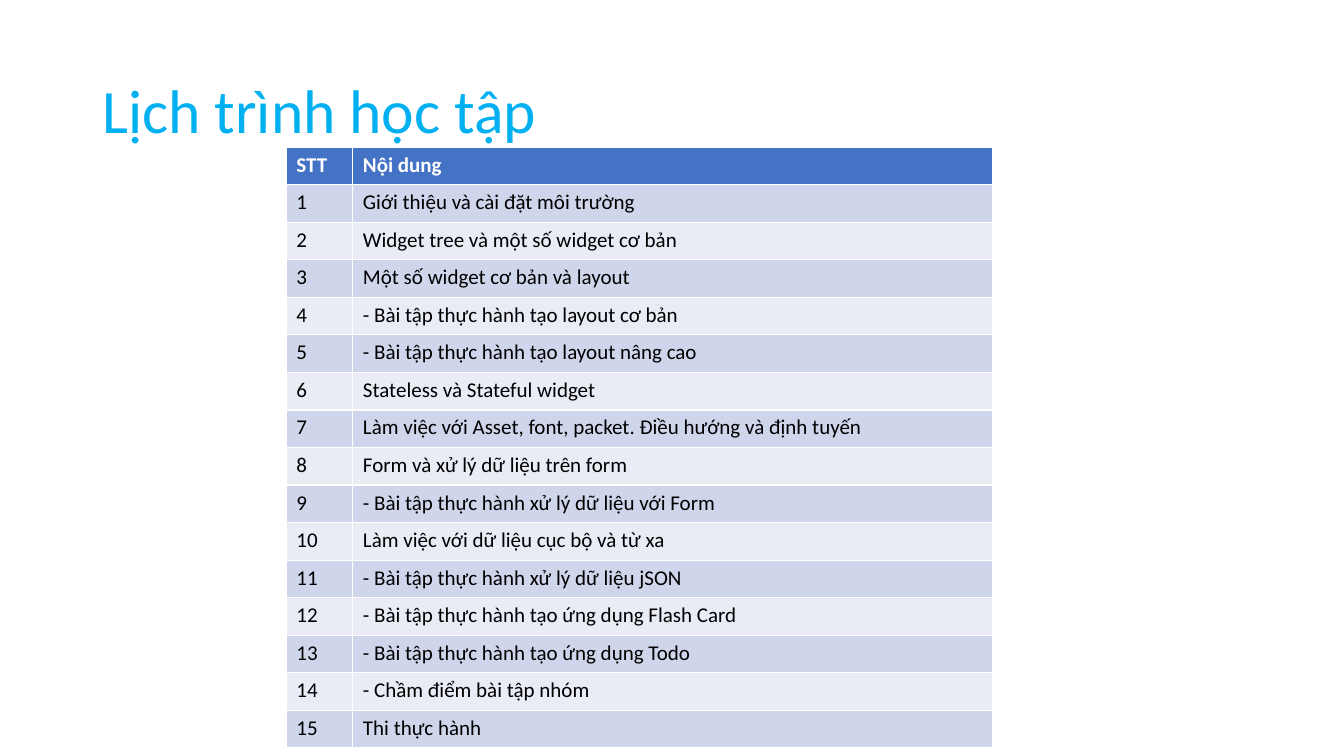
from pptx import Presentation
from pptx.dml.color import RGBColor
from pptx.enum.text import MSO_ANCHOR
from pptx.util import Inches, Pt

FONT = "Calibri"
TITLE_BLUE = RGBColor(0x00, 0xB0, 0xF0)
HEADER_BLUE = RGBColor(0x44, 0x72, 0xC4)
BAND_DARK = RGBColor(0xCF, 0xD5, 0xEA)
BAND_LIGHT = RGBColor(0xE9, 0xEB, 0xF5)
WHITE = RGBColor(0xFF, 0xFF, 0xFF)
BLACK = RGBColor(0x00, 0x00, 0x00)

LESSONS = [
    "Giới thiệu và cài đặt môi trường",
    "Widget tree và một số widget cơ bản",
    "Một số widget cơ bản và layout",
    "- Bài tập thực hành tạo layout cơ bản",
    "- Bài tập thực hành tạo layout nâng cao",
    "Stateless và Stateful widget",
    "Làm việc với Asset, font, packet. Điều hướng và định tuyến",
    "Form và xử lý dữ liệu trên form",
    "- Bài tập thực hành xử lý dữ liệu với Form",
    "Làm việc với dữ liệu cục bộ và từ xa",
    "- Bài tập thực hành xử lý dữ liệu jSON",
    "- Bài tập thực hành tạo ứng dụng Flash Card",
    "- Bài tập thực hành tạo ứng dụng Todo",
    "- Chầm điểm bài tập nhóm",
    "Thi thực hành",
]
COLUMN_WIDTHS = [Inches(0.66), Inches(6.34)]


def style_text(paragraph, size, color, bold=False):
    for run in paragraph.runs:
        run.font.name = FONT
        run.font.size = Pt(size)
        run.font.bold = bold
        run.font.color.rgb = color


presentation = Presentation()
presentation.slide_width = Inches(13.33)
presentation.slide_height = Inches(7.5)
slide = presentation.slides.add_slide(presentation.slide_layouts[6])

title = slide.shapes.add_textbox(Inches(0.92), Inches(0.4), Inches(11.5), Inches(1.45))
title.text_frame.word_wrap = True
title.text_frame.vertical_anchor = MSO_ANCHOR.MIDDLE
title.text_frame.text = "Lịch trình học tập"
title_paragraph = title.text_frame.paragraphs[0]
title_paragraph.line_spacing = 0.9
style_text(title_paragraph, 44, TITLE_BLUE)

rows = [("STT", "Nội dung")]
rows += [(str(number), lesson) for number, lesson in enumerate(LESSONS, 1)]
schedule = slide.shapes.add_table(
    len(rows), len(COLUMN_WIDTHS), Inches(2.84), Inches(1.46), sum(COLUMN_WIDTHS), Inches(5.96)
).table
for column, width in zip(schedule.columns, COLUMN_WIDTHS):
    column.width = width

for row_index, row in enumerate(rows):
    is_header = row_index == 0
    band = BAND_DARK if row_index % 2 else BAND_LIGHT
    for column_index, text in enumerate(row):
        cell = schedule.cell(row_index, column_index)
        cell.fill.solid()
        cell.fill.fore_color.rgb = HEADER_BLUE if is_header else band
        cell.text_frame.text = text
        style_text(cell.text_frame.paragraphs[0], 15, WHITE if is_header else BLACK, is_header)

presentation.save("out.pptx")
